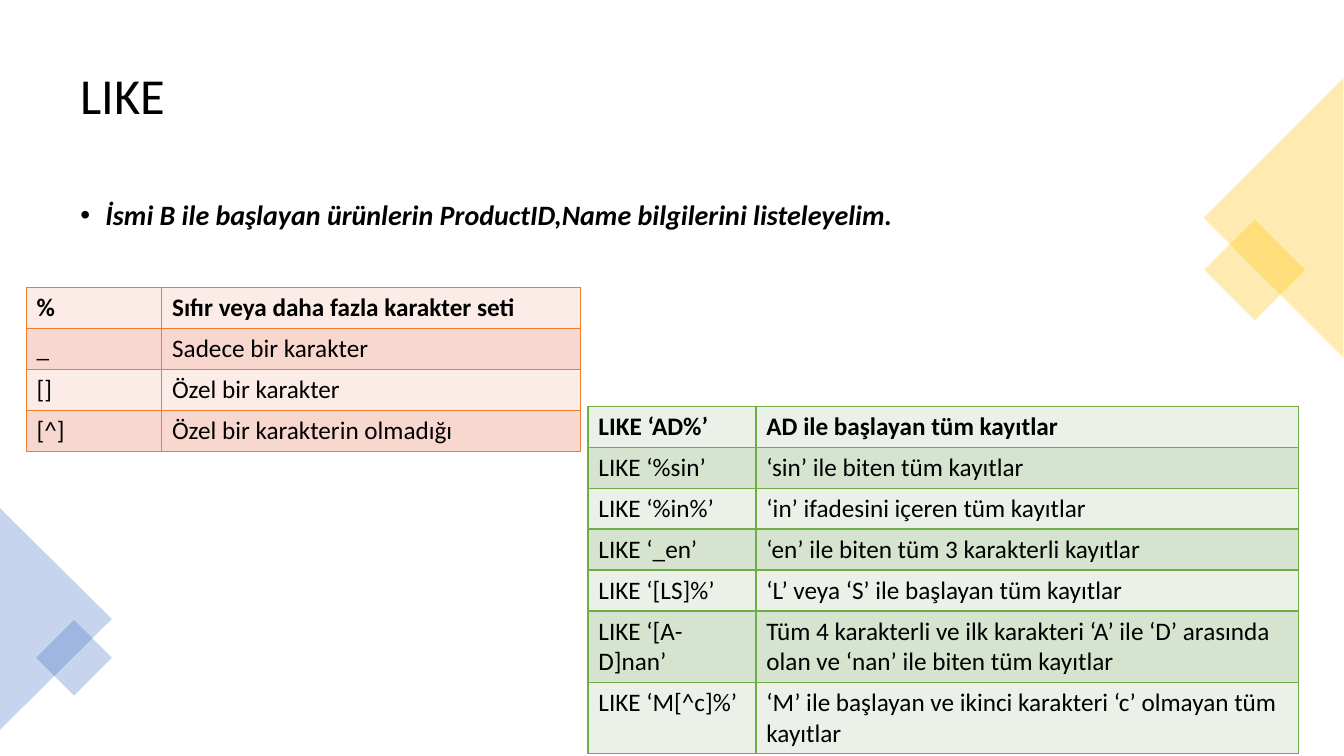
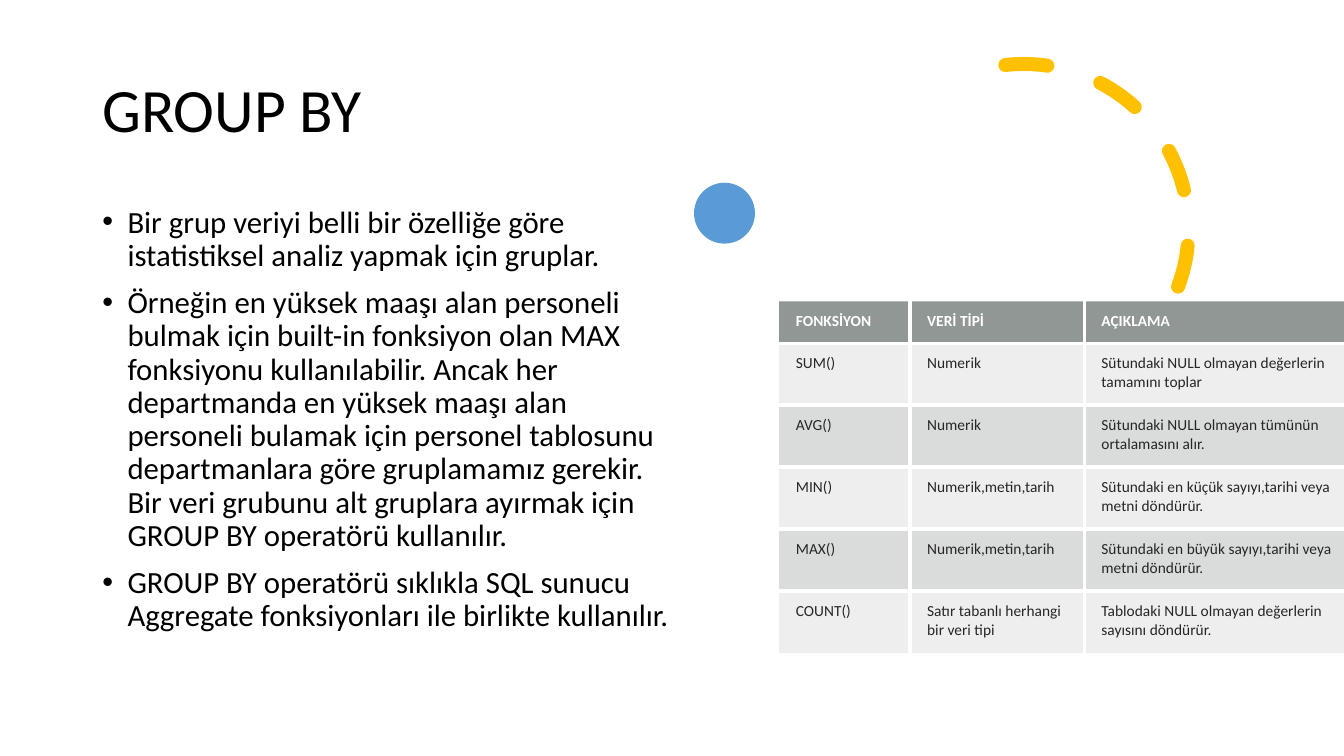
"""Build two slides on the SQL LIKE and GROUP BY operators."""
from lxml import etree
from pptx import Presentation
from pptx import util as u
from pptx.dml.color import RGBColor
from pptx.enum import dml, shapes, text
from pptx.oxml.ns import qn

PX = 9525
FONT = "Calibri"
BLACK = RGBColor(0x00, 0x00, 0x00)
WHITE = RGBColor(0xFF, 0xFF, 0xFF)
INK = RGBColor(0x26, 0x26, 0x26)
GOLD = RGBColor(0xFF, 0xC0, 0x00)
BLUE = RGBColor(0x44, 0x72, 0xC4)
SKY = RGBColor(0x5B, 0x9B, 0xD5)
ORANGE = RGBColor(0xED, 0x7D, 0x31)
PEACH = RGBColor(0xFC, 0xEC, 0xE8)
SALMON = RGBColor(0xF8, 0xD7, 0xCE)
GREEN = RGBColor(0x70, 0xAD, 0x47)
MIST = RGBColor(0xEB, 0xF1, 0xE9)
SAGE = RGBColor(0xD5, 0xE3, 0xCF)
SLATE = RGBColor(0x63, 0x6B, 0x68)
GREY = RGBColor(0x87, 0x8E, 0x8B)


def paint(fill, properties, color, opacity):
    """Fill a shape or cell with a colour at an opacity in percent."""
    fill.solid()
    fill.fore_color.rgb = color
    if opacity < 100:
        tint = properties.find(qn("a:solidFill"))[0]
        etree.SubElement(tint, qn("a:alpha"), val=str(opacity * 1000))


def write(para, words, size, color, bold=False, italic=False):
    """Put words in a paragraph and style its font."""
    para.text = words
    font = para.font
    font.name, font.size, font.color.rgb = FONT, u.Pt(size), color
    font.bold, font.italic = bold, italic


deck = Presentation()
deck.slide_width, deck.slide_height = 1280 * PX, 720 * PX
like_page, group_page = [deck.slides.add_slide(deck.slide_layouts[6]) for _ in range(2)]

text_boxes = [
    (like_page, (67, 34, 1145, 119), 36, False, ["LIKE"]),
    (like_page, (67, 187, 1145, 462), 20, True,
     ["İsmi B ile başlayan ürünlerin ProductID,Name bilgilerini listeleyelim."]),
    (group_page, (88, 38, 1104, 139), 44, False, ["GROUP BY"]),
    (group_page, (88, 192, 566, 457), 22, False, [
        "Bir grup veriyi belli bir özelliğe göre istatistiksel analiz yapmak için gruplar.",
        "Örneğin en yüksek maaşı alan personeli bulmak için built-in fonksiyon olan MAX "
        "fonksiyonu kullanılabilir. Ancak her departmanda en yüksek maaşı alan personeli "
        "bulamak için personel tablosunu departmanlara göre gruplamamız gerekir. Bir veri "
        "grubunu alt gruplara ayırmak için GROUP BY operatörü kullanılır.",
        "GROUP BY operatörü sıklıkla SQL sunucu Aggregate fonksiyonları ile birlikte kullanılır.",
    ]),
]
for page, area, size, emphasis, lines in text_boxes:
    frame = page.shapes.add_textbox(*[n * PX for n in area]).text_frame
    frame.word_wrap = True
    is_title = size > 30
    frame.vertical_anchor = text.MSO_ANCHOR.MIDDLE if is_title else text.MSO_ANCHOR.TOP
    for index, line in enumerate(lines):
        para = frame.add_paragraph() if index else frame.paragraphs[0]
        para.line_spacing = 0.9
        if not is_title:
            para.space_before = u.Pt(10)
            layout = para._p.get_or_add_pPr()
            layout.set("marL", str(24 * PX))
            layout.set("indent", str(-24 * PX))
            etree.SubElement(layout, qn("a:buFont"), typeface="Arial")
            etree.SubElement(layout, qn("a:buChar"), char="•")
        write(para, line, size, BLACK, emphasis, emphasis)

RECTANGLE = shapes.MSO_SHAPE.RECTANGLE
TRIANGLE = shapes.MSO_SHAPE.ISOSCELES_TRIANGLE
ornaments = [
    (like_page, RECTANGLE, (1161, 223, 68, 68), 45, GOLD, 30),
    (like_page, TRIANGLE, (1080, 141, 266, 133), 270, GOLD, 30),
    (like_page, TRIANGLE, (-53, 536, 212, 107), 90, BLUE, 30),
    (like_page, RECTANGLE, (45, 601, 51, 51), 45, BLUE, 30),
    (group_page, shapes.MSO_SHAPE.OVAL, (661, 174, 58, 58), 0, SKY, 100),
]
for page, kind, area, angle, color, opacity in ornaments:
    ornament = page.shapes.add_shape(kind, *[n * PX for n in area])
    ornament.rotation = angle
    ornament.shadow.inherit = False
    ornament.line.fill.background()
    paint(ornament.fill, ornament.element.spPr, color, opacity)

arc = group_page.shapes.add_shape(shapes.MSO_SHAPE.ARC, *[n * PX for n in (818, 61, 314, 314)])
arc.adjustments[0], arc.adjustments[1] = 158.17, 17.81
arc.shadow.inherit = False
arc.fill.background()
arc.line.color.rgb = GOLD
arc.line.width = u.Pt(10)
arc.line.dash_style = dml.MSO_LINE.DASH
arc.line._get_or_add_ln().set("cap", "rnd")

wildcards = [
    ("%", "Sıfır veya daha fazla karakter seti"),
    ("_", "Sadece bir karakter"),
    ("[]", "Özel bir karakter"),
    ("[^]", "Özel bir karakterin olmadığı"),
]
examples = [
    ("LIKE ‘AD%’", "AD ile başlayan tüm kayıtlar"),
    ("LIKE ‘%sin’", "‘sin’ ile biten tüm kayıtlar"),
    ("LIKE ‘%in%’", "‘in’ ifadesini içeren tüm kayıtlar"),
    ("LIKE ‘_en’", "‘en’ ile biten tüm 3 karakterli kayıtlar"),
    ("LIKE ‘[LS]%’", "‘L’ veya ‘S’ ile başlayan tüm kayıtlar"),
    ("LIKE ‘[A-D]nan’",
     "Tüm 4 karakterli ve ilk karakteri ‘A’ ile ‘D’ arasında olan ve ‘nan’ ile biten tüm kayıtlar"),
    ("LIKE ‘M[^c]%’", "‘M’ ile başlayan ve ikinci karakteri ‘c’ olmayan tüm kayıtlar"),
]
functions = [
    ("FONKSİYON", "VERİ TİPİ", "AÇIKLAMA"),
    ("SUM()", "Numerik", "Sütundaki NULL olmayan değerlerin tamamını toplar"),
    ("AVG()", "Numerik", "Sütundaki NULL olmayan tümünün ortalamasını alır."),
    ("MIN()", "Numerik,metin,tarih", "Sütundaki en küçük sayıyı,tarihi veya metni döndürür."),
    ("MAX()", "Numerik,metin,tarih", "Sütundaki en büyük sayıyı,tarihi veya metni döndürür."),
    ("COUNT()", "Satır tabanlı herhangi bir veri tipi",
     "Tablodaki NULL olmayan değerlerin sayısını döndürür."),
]
peach_bands = [(PEACH, 100), (SALMON, 100)]
green_bands = [(MIST, 100), (SAGE, 100)]
grey_bands = [(GREY, 30), (GREY, 15)]
tables = [
    (like_page, (25, 274), (129, 399), [39] * 4, wildcards, peach_bands[0], peach_bands,
     (BLACK, BLACK), 18, (10, 10, 5), (ORANGE, 1, True)),
    (like_page, (560, 387), (160, 517), [39] * 5 + [68] * 2, examples, green_bands[0],
     green_bands, (BLACK, BLACK), 18, (10, 10, 5), (GREEN, 1, True)),
    (group_page, (742, 287), (125, 166, 247), [40] + [59] * 5, functions, (SLATE, 70),
     grey_bands, (WHITE, INK), 11, (16, 10, 10), (WHITE, 3, False)),
]
for (page, corner, widths, heights, rows, head_fill, bands,
     inks, size, insets, (edge_color, edge_width, framed)) in tables:
    area = (*corner, sum(widths), sum(heights))
    table = page.shapes.add_table(len(rows), len(widths), *[n * PX for n in area]).table
    table.first_row = table.horz_banding = False
    for column, width in zip(table.columns, widths):
        column.width = width * PX
    for row, height in zip(table.rows, heights):
        row.height = height * PX
    last_row, last_column = len(rows) - 1, len(widths) - 1
    for r, values in enumerate(rows):
        for c, value in enumerate(values):
            cell = table.cell(r, c)
            cell.margin_left, cell.margin_right = insets[0] * PX, insets[1] * PX
            cell.margin_top = cell.margin_bottom = insets[2] * PX
            properties = cell._tc.get_or_add_tcPr()
            inner_sides = {"L": c > 0, "R": c < last_column, "T": r > 0, "B": r < last_row}
            for side, inner in inner_sides.items():
                edge = etree.SubElement(properties, qn(f"a:ln{side}"), w=str(u.Pt(edge_width)))
                if inner or framed:
                    solid = etree.SubElement(edge, qn("a:solidFill"))
                    etree.SubElement(solid, qn("a:srgbClr"), val=str(edge_color))
                else:
                    etree.SubElement(edge, qn("a:noFill"))
            paint(cell.fill, properties, *(bands[r % 2] if r else head_fill))
            write(cell.text_frame.paragraphs[0], value, size, inks[min(r, 1)], bold=r == 0)

deck.save("out.pptx")
